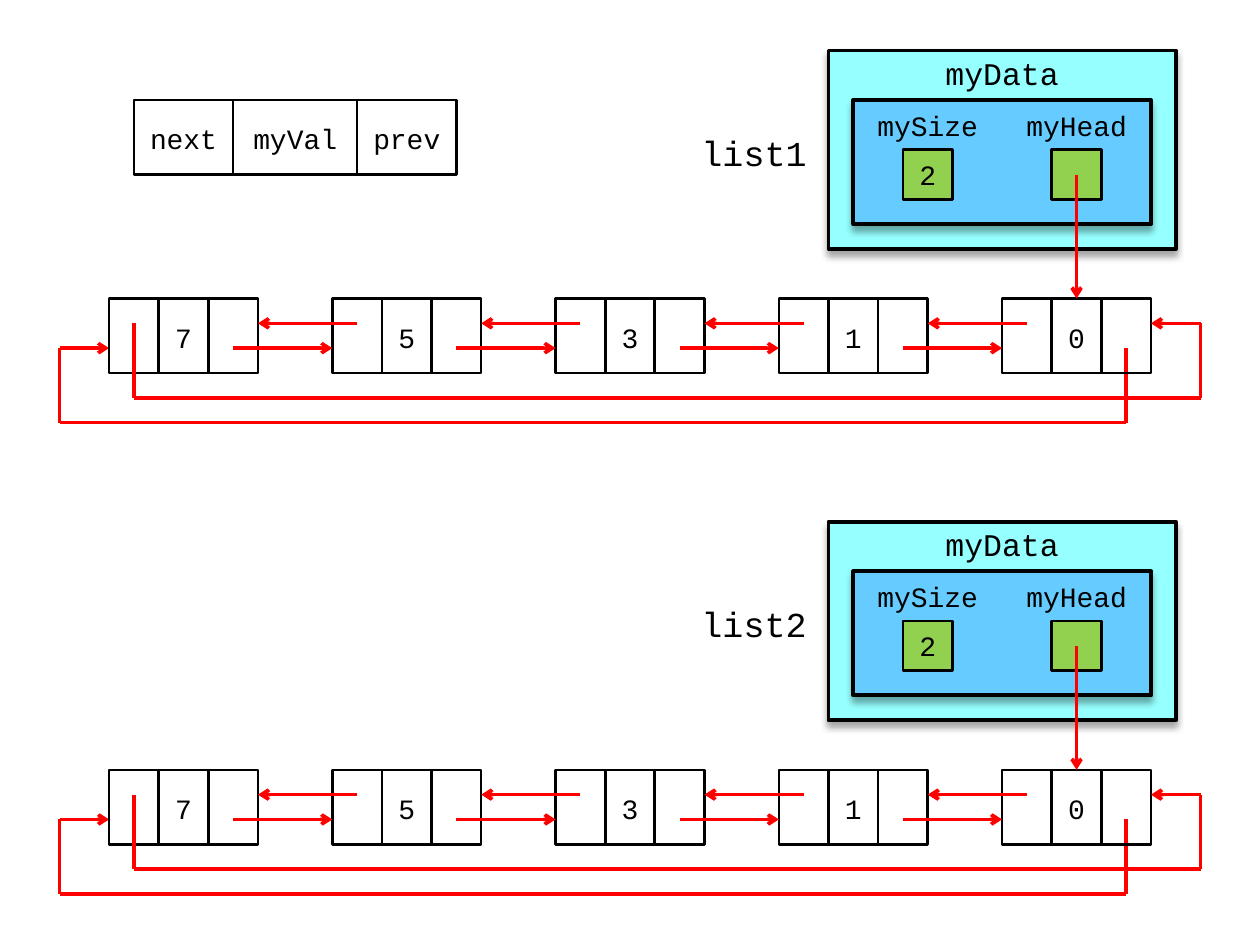
from dataclasses import dataclass

from lxml.etree import SubElement
from pptx import Presentation
from pptx.dml.color import RGBColor
from pptx.enum.shapes import MSO_CONNECTOR as Link, MSO_SHAPE as Shape
from pptx.enum.text import MSO_ANCHOR as Anchor, PP_ALIGN as Align
from pptx.oxml.ns import qn
from pptx.util import Pt


@dataclass(frozen=True)
class Theme:
    """Colours, type sizes, line widths and text insets."""
    font: str = "Courier New"
    ink: str = "000000"
    pointer: str = "FF0000"
    outer: str = "96FFFF"
    inner: str = "66CCFF"
    field: str = "92D050"
    small: int = 16
    medium: int = 18
    large: int = 20
    thin: float = 1.5
    thick: float = 2.25
    pointer_width: float = 2
    plain_inset: tuple = (7.2, 3.6, 7.2, 3.6)
    cell_inset: tuple = (7.2, 4.3, 7.2, 2.9)
    head_inset: tuple = (2.9, 3.6, 2.9, 3.6)
    data_inset: tuple = (5.8, 0, 5.8, 2.9)
    name_inset: tuple = (5.8, 2.9, 5.8, 0)


THEME = Theme()
UNIT, LEFT, TOP = 28.35, 5.67, 0.5
NODE_WIDTH, NODE_HEIGHT, NODE_STEP, FIRST_NODE = 3, 1.5, 4.5, 2
VALUES = ["7", "5", "3", "1", "0"]
LIST_STEP = 9.5


def place(col, row):
    """Turn a grid position into slide lengths."""
    return Pt(LEFT + col * UNIT), Pt(TOP + row * UNIT)


def area(col, row, width, height):
    """Turn a grid rectangle into slide lengths."""
    return *place(col, row), Pt(width * UNIT), Pt(height * UNIT)


def write(holder, text, size, inset):
    """Centre one run of text in a shape or text box."""
    frame = holder.text_frame
    frame.word_wrap = True
    frame.vertical_anchor = Anchor.MIDDLE
    frame.margin_left, frame.margin_top, frame.margin_right, frame.margin_bottom = map(Pt, inset)
    paragraph = frame.paragraphs[0]
    paragraph.alignment = Align.CENTER
    run = paragraph.add_run()
    run.text = text
    run.font.name = THEME.font
    run.font.size = Pt(size)
    run.font.color.rgb = RGBColor.from_string(THEME.ink)


def add_box(slide, bounds, text="", fill=None, width=THEME.thin,
            inset=THEME.plain_inset, kind=Shape.RECTANGLE):
    """Add a box; a width of None leaves it without an outline."""
    box = slide.shapes.add_shape(kind, *area(*bounds))
    box.shadow.inherit = False
    if fill:
        box.fill.solid()
        box.fill.fore_color.rgb = RGBColor.from_string(fill)
    else:
        box.fill.background()
    if width:
        box.line.width = Pt(width)
        box.line.color.rgb = RGBColor.from_string(THEME.ink)
    else:
        box.line.fill.background()
    if text:
        write(box, text, THEME.small, inset)
    return box


def add_panel(slide, bounds, fill):
    """Add a filled panel with a soft shadow below it."""
    panel = add_box(slide, bounds, fill=fill, width=THEME.thick, kind=Shape.FLOWCHART_PROCESS)
    effects = panel._element.spPr.find(qn("a:effectLst"))
    shadow = SubElement(effects, qn("a:outerShdw"), blurRad=str(Pt(4)), dist=str(Pt(3)),
                        dir="5400000", rotWithShape="0")
    colour = SubElement(shadow, qn("a:srgbClr"), val=THEME.ink)
    SubElement(colour, qn("a:alpha"), val="35000")


def add_label(slide, bounds, text, size, inset):
    """Add a text box."""
    write(slide.shapes.add_textbox(*area(*bounds)), text, size, inset)


def add_pointer(slide, start, end, arrow=True):
    """Add a straight pointer line between two grid positions."""
    pointer = slide.shapes.add_connector(Link.STRAIGHT, *place(*start), *place(*end))
    pointer.line.width = Pt(THEME.pointer_width)
    pointer.line.color.rgb = RGBColor.from_string(THEME.pointer)
    if arrow:
        SubElement(pointer.line._get_or_add_ln(), qn("a:tailEnd"), type="arrow")
    SubElement(pointer._element.spPr, qn("a:effectLst"))
    return pointer


def add_loop(slide, stops):
    """Join stops with straight lines and put an arrow on the last one."""
    for index, (start, end) in enumerate(zip(stops, stops[1:]), 2):
        add_pointer(slide, start, end, arrow=index == len(stops))


def add_node(slide, col, row, value):
    """Add a three-part node and return its value cell."""
    cells = [add_box(slide, (col + part, row, 1, NODE_HEIGHT), text, inset=THEME.cell_inset)
             for part, text in enumerate(["", value, ""])]
    return cells[1]


def add_header(slide, row, name):
    """Add the list name and its data panels."""
    add_panel(slide, (16.5, row, 7, 4), THEME.outer)
    add_panel(slide, (17, row + 1, 6, 2.5), THEME.inner)
    fields = [("mySize", "2", THEME.plain_inset), ("myHead", "", THEME.head_inset)]
    for index, (field, value, inset) in enumerate(fields):
        col = 17 + 3 * index
        add_box(slide, (col, row + 1, 3, 1), field, width=None, inset=inset,
                kind=Shape.FLOWCHART_PROCESS)
        add_box(slide, (col + 1, row + 2, 1, 1), value, THEME.field)
    add_label(slide, (13.5, row + 1, 3, 2), name, THEME.large, THEME.name_inset)
    add_label(slide, (18.5, row, 3, 1), "myData", THEME.medium, THEME.data_inset)


def add_list(slide, row, name):
    """Add one circular doubly linked list with its header."""
    node_row = row + 5
    prev_row, next_row = node_row + 0.5, node_row + 1
    columns = [FIRST_NODE + NODE_STEP * index for index in range(len(VALUES))]
    first, last = columns[0], columns[-1]
    next_start, prev_start = last + 2.5, first + 0.5
    left_turn, right_turn = first - 1, last + NODE_WIDTH + 1

    add_loop(slide, [(next_start, next_row), (next_start, node_row + 2.5),
                     (left_turn, node_row + 2.5), (left_turn, next_row), (first, next_row)])
    value_cells = [add_node(slide, col, node_row, value) for col, value in zip(columns, VALUES)]
    for col, following in zip(columns, columns[1:]):
        add_pointer(slide, (col + 2.5, next_row), (following, next_row))
        add_pointer(slide, (following + 0.5, prev_row), (col + NODE_WIDTH, prev_row))
    add_loop(slide, [(prev_start, prev_row), (prev_start, node_row + 2),
                     (right_turn, node_row + 2), (right_turn, prev_row),
                     (last + NODE_WIDTH, prev_row)])

    add_header(slide, row, name)
    head = add_pointer(slide, (last + 1.5, row + 2.5), (last + 1.5, node_row))
    head.end_connect(value_cells[-1], 0)


def add_legend(slide):
    """Add the key to the three parts of a node."""
    col = 2.5
    for part, width in [("next", 2), ("myVal", 2.5), ("prev", 2)]:
        add_box(slide, (col, 2, width, NODE_HEIGHT), part, inset=THEME.cell_inset)
        col += width


def main():
    """Build the slide and save it."""
    deck = Presentation()
    deck.slide_width, deck.slide_height = Pt(720), Pt(540)
    slide = deck.slides.add_slide(deck.slide_layouts[6])
    for index, name in enumerate(["list1", "list2"]):
        add_list(slide, 1 + LIST_STEP * index, name)
    add_legend(slide)
    deck.save("out.pptx")


if __name__ == "__main__":
    main()
